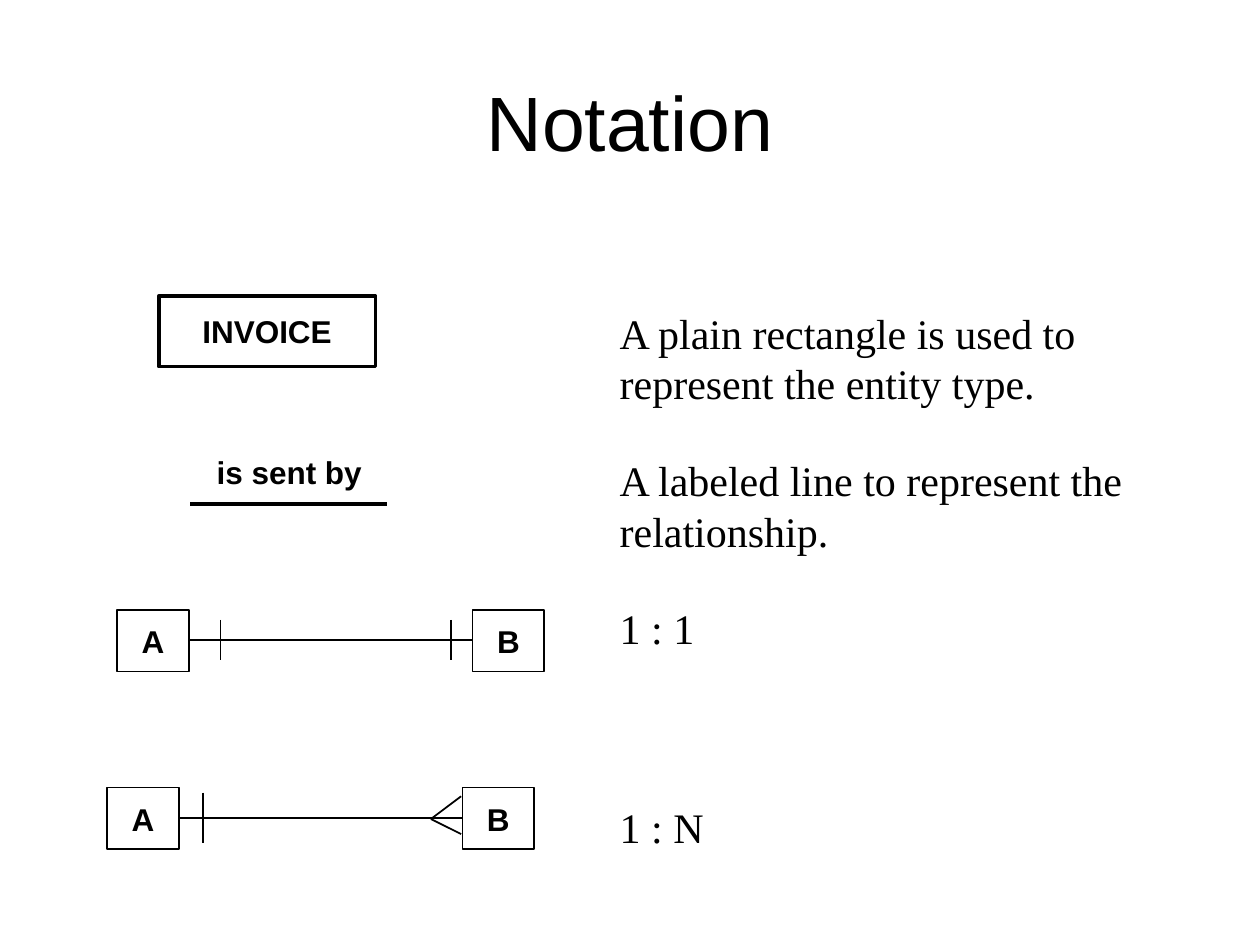
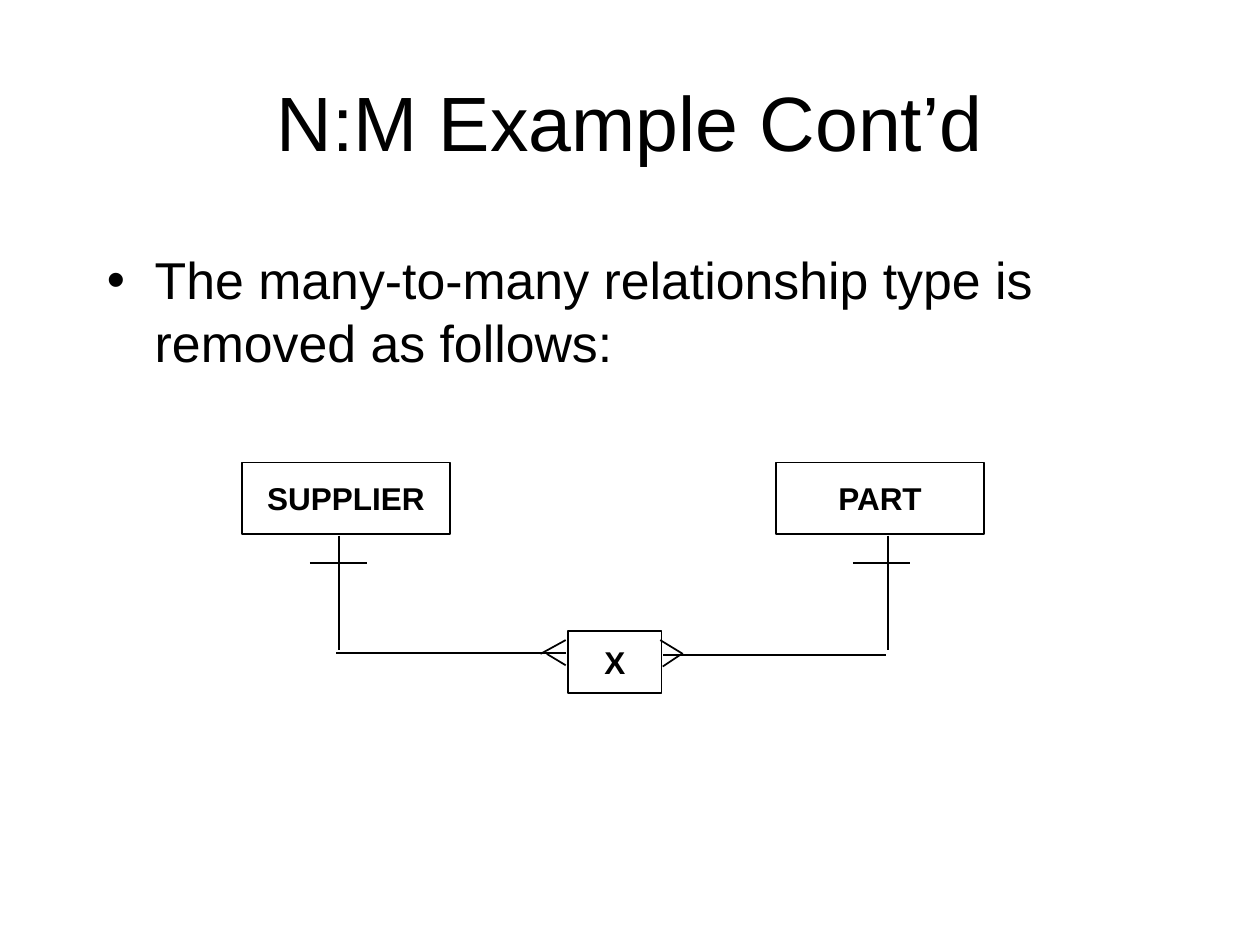
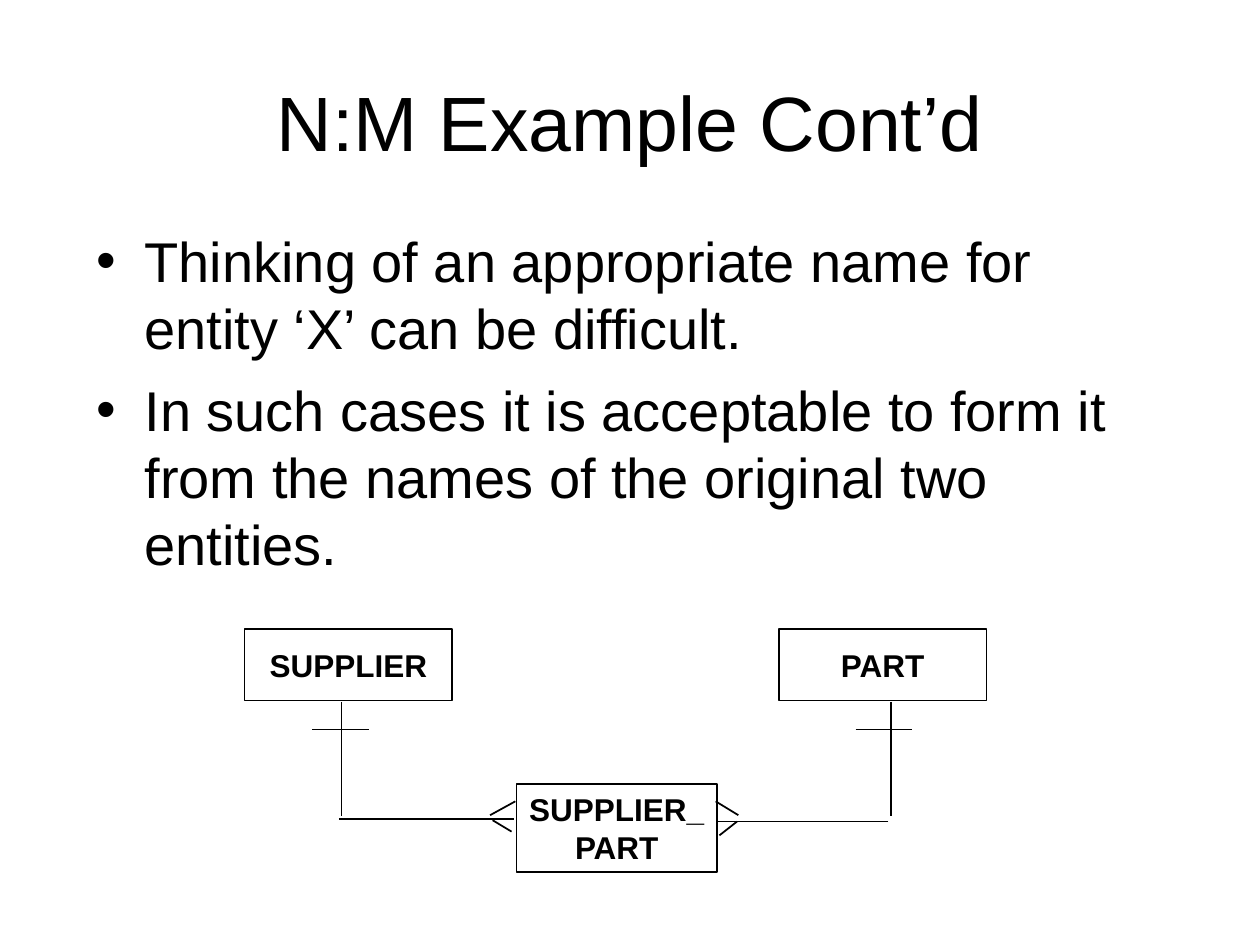
from dataclasses import dataclass
from lxml.etree import SubElement
from pptx import Presentation
from pptx.dml.color import RGBColor as RGB
from pptx.enum.shapes import MSO_CONNECTOR as LINK, MSO_SHAPE as SHAPE
from pptx.enum.text import MSO_ANCHOR as ANCHOR, MSO_AUTO_SIZE as FIT, PP_ALIGN as ALIGN
from pptx.oxml.ns import qn
from pptx.util import Pt

PX = 9144  # 100 px to the inch


@dataclass(frozen=True)
class Theme:
    ink: RGB = RGB(0, 0, 0)
    paper: RGB = RGB(255, 255, 255)
    sans: str = "Arial"
    serif: str = "Times New Roman"
    title: int = 44
    body: int = 32
    tight: float = 29.6
    note: int = 24
    label: int = 18
    thin: int = 1
    bold: int = 2


LOOK = Theme()
TITLE = dict(name=LOOK.sans, size=Pt(LOOK.title))
NOTE = dict(name=LOOK.serif, size=Pt(LOOK.note))
LABEL = dict(name=LOOK.sans, size=Pt(LOOK.label), bold=True)


def emu(*nums):
    return [round(n * PX) for n in nums]


def style(para, form, align):
    para.alignment = align
    para.font.color.rgb = LOOK.ink
    for key, val in form.items():
        setattr(para.font, key, val)


def write(frame, lines, form, align=ALIGN.LEFT, wrap=False):
    frame.word_wrap = wrap
    frame.text = "\n".join(lines)
    for para in frame.paragraphs:
        style(para, form, align)


def text(slide, box, lines, form):
    frame = slide.shapes.add_textbox(*emu(*box)).text_frame
    frame.auto_size = FIT.SHAPE_TO_FIT_TEXT
    write(frame, lines, form)


def line(slide, start, end, width=LOOK.thin):
    link = slide.shapes.add_connector(LINK.STRAIGHT, *emu(*start, *end))
    link.line.color.rgb = LOOK.ink
    link.line.width = Pt(width)
    SubElement(link._element.spPr, qn("a:effectLst"))


def entity(slide, box, *lines, width=LOOK.thin):
    rect = slide.shapes.add_shape(SHAPE.RECTANGLE, *emu(*box))
    rect.shadow.inherit = False
    rect.fill.solid()
    rect.fill.fore_color.rgb = LOOK.paper
    rect.line.color.rgb = LOOK.ink
    rect.line.width = Pt(width)
    rect.text_frame.vertical_anchor = ANCHOR.MIDDLE
    write(rect.text_frame, lines, LABEL, ALIGN.CENTER)


def start(deck, name):
    slide = deck.slides.add_slide(deck.slide_layouts[5])
    head = slide.shapes.title
    head.left, head.top, head.width, head.height = emu(75, 33, 850, 125)
    head.text_frame.vertical_anchor = ANCHOR.MIDDLE
    write(head.text_frame, [name], TITLE, ALIGN.CENTER, True)
    return slide


def bullets(slide, box, lines, size):
    frame = slide.shapes.add_textbox(*emu(*box)).text_frame
    frame.word_wrap = True
    frame.text = "\n".join(lines)
    for spot, para in enumerate(frame.paragraphs):
        props = para._p.get_or_add_pPr()
        props.set("marL", str(38 * PX))
        props.set("indent", str(-38 * PX))
        SubElement(props, qn("a:buFont"), typeface=LOOK.sans)
        SubElement(props, qn("a:buChar"), char="•")
        if spot:
            para.space_before = Pt(8)
        style(para, dict(name=LOOK.sans, size=Pt(size)), ALIGN.LEFT)


def pair(slide, left, top, many=False):
    """Link A to B, one to one or one to many."""
    side, tall, gap = 57, 49, 282
    mid, far = top + 24, left + gap
    for name, x in (("A", left), ("B", far)):
        entity(slide, (x, top, side, tall), name)
    line(slide, (left + side, mid), (far, mid))
    if many:
        bars = {left + 76: 20}
        for rise in (-18, 12):
            line(slide, (far - 25, mid + 1), (far - 1, mid + 1 + rise))
    else:
        bars = {left + 82: 16, far - 17: 16}
    for x, half in bars.items():
        line(slide, (x, mid - half), (x, mid + half))


def join(slide, left, top, hub, names, feet):
    """Link two entities to the hub; feet lists the crow's foot strokes."""
    wide, tall, gap, low = 165, 57, 424, 151
    for name, x in (("SUPPLIER", left), ("PART", left + gap)):
        entity(slide, (x, top, wide, tall), name)
    x, y, w, h = hub
    entity(slide, (left + x, top + y, w, h), *names)
    sides = ((77, 54, 75, x - 2, low), (513, 485, 511, x + w + 1, low + 2))
    for stem, bar, out, end, base in sides:
        line(slide, (left + stem, top + 58), (left + stem, top + 149))
        line(slide, (left + bar, top + 80), (left + bar + 45, top + 80))
        line(slide, (left + out, top + base), (left + end, top + base))
    for x1, y1, x2, y2 in feet:
        line(slide, (left + x1, top + y1), (left + x2, top + y2))


def notation(deck):
    slide = start(deck, "Notation")
    entity(slide, (126, 235, 172, 56), "INVOICE", width=LOOK.bold)
    line(slide, (151, 400), (307, 400), LOOK.bold)
    text(slide, (162, 355, 135, 40), ["is sent by"], LABEL)
    pair(slide, 93, 484)
    pair(slide, 85, 625, many=True)
    notes = (
        (239, 392, ["A plain rectangle is used to", "represent the entity type."]),
        (356, 429, ["A labeled line to represent the", "relationship."]),
        (473, 79, ["1 : 1"]),
        (631, 88, ["1 : N"]),
    )
    for top, wide, lines in notes:
        text(slide, (482, top, wide, 10 + 40 * len(lines)), lines, NOTE)


def example(deck, box, lines, size, **plan):
    slide = start(deck, "N:M Example Cont’d")
    bullets(slide, box, lines, size)
    join(slide, **plan)


def main():
    deck = Presentation()
    deck.slide_width, deck.slide_height = emu(1000, 750)
    notation(deck)
    example(
        deck, (75, 192, 850, 114),
        ["The many-to-many relationship type is removed as follows:"],
        LOOK.tight,
        left=192, top=367, hub=(259, 134, 74, 49), names=["X"],
        feet=((237, 152, 257, 141), (242, 152, 257, 161),
              (350, 152, 332, 141), (349, 152, 334, 162)))
    example(
        deck, (67, 175, 850, 292),
        ["Thinking of an appropriate name for entity ‘X’ can be difficult.",
         "In such cases it is acceptable to form it from the names of the "
         "original two entities."], LOOK.body,
        left=194, top=499, hub=(216, 123, 159, 70),
        names=["SUPPLIER_", "PART"],
        feet=((195, 148, 215, 137), (197, 152, 212, 161),
              (392, 148, 374, 137), (391, 153, 377, 164)))
    deck.save("out.pptx")


if __name__ == "__main__":
    main()
